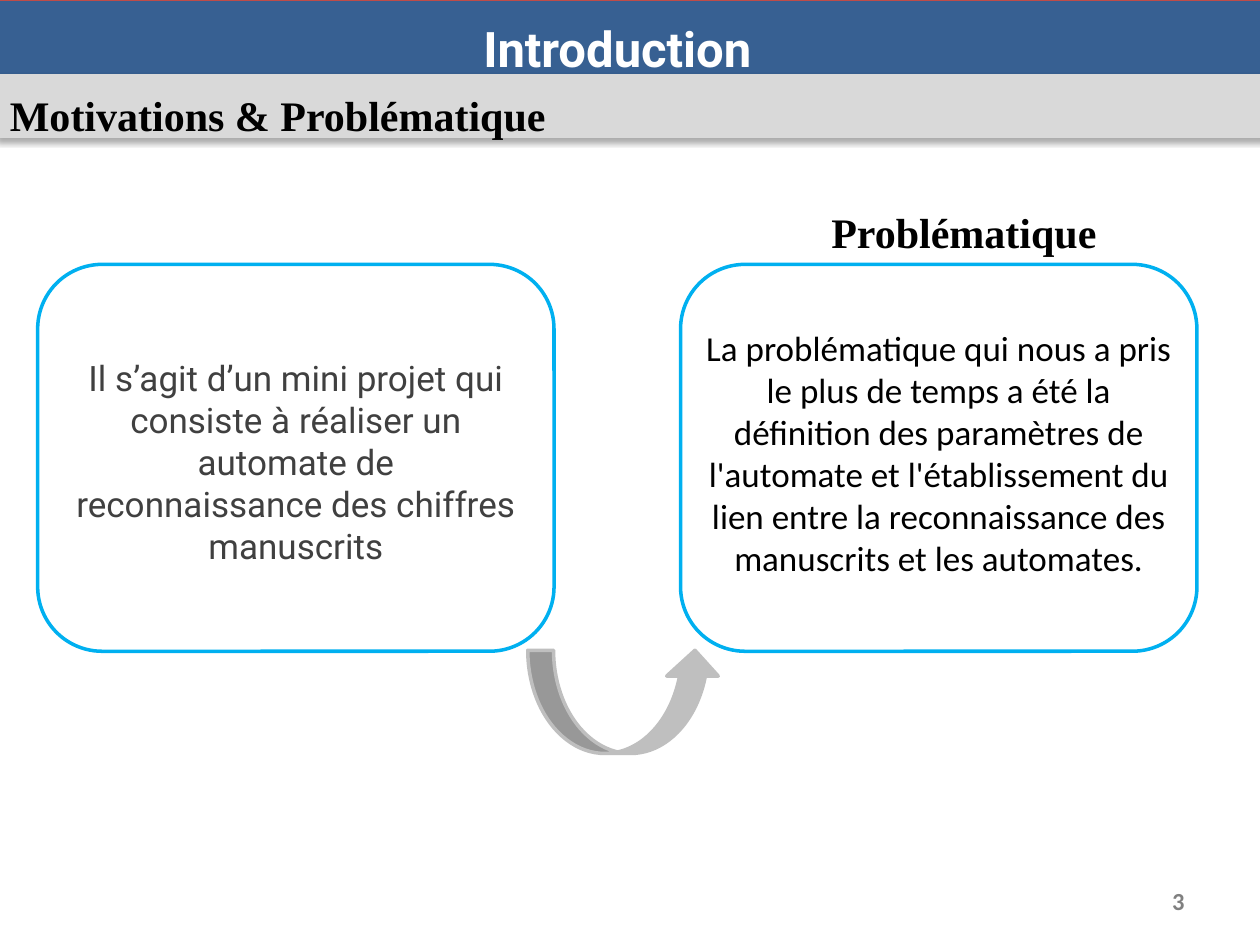
from lxml.etree import SubElement
from pptx import Presentation
from pptx.dml.color import RGBColor
from pptx.enum.shapes import MSO_SHAPE as Shape
from pptx.enum.text import MSO_ANCHOR as Anchor, MSO_AUTO_SIZE as AutoSize, PP_ALIGN as Align
from pptx.oxml.ns import qn
from pptx.util import Cm, Pt

COLORS = {
    "blue": "376092", "red": "BF4C48", "band": "D9D9D9", "cyan": "00B0F0",
    "arrow": "BFBFBF", "black": "000000", "dark": "404040",
    "white": "FFFFFF", "number": "808080",
}
SERIF = "Times New Roman"


def color(name):
    return RGBColor.from_string(COLORS[name])


def add_outline(page, kind, box, fill, line, width=2):
    shape = page.shapes.add_shape(kind, *map(Cm, box))
    shape.shadow.inherit = False
    if fill:
        shape.fill.solid()
        shape.fill.fore_color.rgb = color(fill)
    else:
        shape.fill.background()
    shape.line.color.rgb = color(line)
    shape.line.width = Pt(width)
    return shape


def add_shadow(shape, blur, distance, opacity):
    effects = shape._element.spPr.find(qn("a:effectLst"))
    shadow = SubElement(effects, qn("a:outerShdw"), blurRad=str(Pt(blur)),
                        dist=str(Pt(distance)), dir="5400000", rotWithShape="0")
    tint = SubElement(shadow, qn("a:srgbClr"), val=COLORS["black"])
    SubElement(tint, qn("a:alpha"), val=str(opacity * 1000))


def add_text(page, box, text, size, font, ink, bold=False, align=Align.LEFT):
    label = page.shapes.add_textbox(*map(Cm, box))
    frame = label.text_frame
    frame.word_wrap = True
    frame.auto_size = AutoSize.SHAPE_TO_FIT_TEXT
    para = frame.paragraphs[0]
    para.alignment = align
    span = para.add_run()
    span.text = text
    span.font.size = Pt(size)
    span.font.name = font
    span.font.bold = bold
    span.font.color.rgb = color(ink)
    return frame


def add_header(page, box, title, subtitle):
    left, top, width, height = box
    bar = add_outline(page, Shape.RECTANGLE, (left, top, width, 1.52), "blue", "red", 0.75)
    add_shadow(bar, 3.1, 1.8, 35)
    band = add_outline(page, Shape.RECTANGLE, (left, top + 1.52, width, height - 1.52),
                       "band", "band")
    add_shadow(band, 3.5, 2.2, 32)
    add_text(page, (left, top + 1.68, 13.77, 1.27), subtitle, 24, SERIF, "black", True)
    add_text(page, (left + 8.89, top + 0.25, 7.21, 1.45), title, 28, "Roboto",
             "white", True, Align.CENTER)


def add_card(page, box, text, font, ink, inset_x, inset_y):
    left, top, width, height = box
    add_outline(page, Shape.ROUNDED_RECTANGLE, box, None, "cyan")
    text_box = (left + inset_x, top + inset_y, width - 2 * inset_x, height - 2 * inset_y)
    add_text(page, text_box, text, 20, font, ink, align=Align.CENTER)


def add_body(page, box):
    left, top, width, height = box
    card_width = 10.41
    right = left + width - card_width
    add_card(page, (right, top, card_width, height),
             "La problématique qui nous a pris le plus de temps a été la définition des "
             "paramètres de l'automate et l'établissement du lien entre la reconnaissance "
             "des manuscrits et les automates.", "Calibri", "black", 0.25, 1.12)
    add_card(page, (left, top, card_width, height),
             "Il s’agit d’un mini projet qui consiste à réaliser un automate de "
             "reconnaissance des chiffres manuscrits", "Roboto", "dark", 0.51, 1.73)
    add_outline(page, Shape.CURVED_UP_ARROW, (left + 9.88, top + height - 0.02, 3.89, 2.08),
                "arrow", "arrow")
    add_text(page, (right + 2.79, top - 1.29, 5.87, 1.27), "Problématique", 24, SERIF,
             "black", True)


def add_page_number(page, box, number):
    frame = add_text(page, box, number, 14, "Calibri", "number", True, Align.RIGHT)
    frame.auto_size = AutoSize.NONE
    frame.vertical_anchor = Anchor.MIDDLE


def main():
    deck = Presentation()
    deck.slide_width, deck.slide_height = Cm(25.4), Cm(19.05)
    page = deck.slides.add_slide(deck.slide_layouts[6])
    add_body(page, (0.76, 5.33, 23.37, 7.8))
    add_header(page, (-0.05, 0, 25.48, 2.74), "Introduction", "Motivations & Problématique")
    add_page_number(page, (18.21, 17.65, 5.92, 1.02), "3")
    deck.save("out.pptx")


if __name__ == "__main__":
    main()
